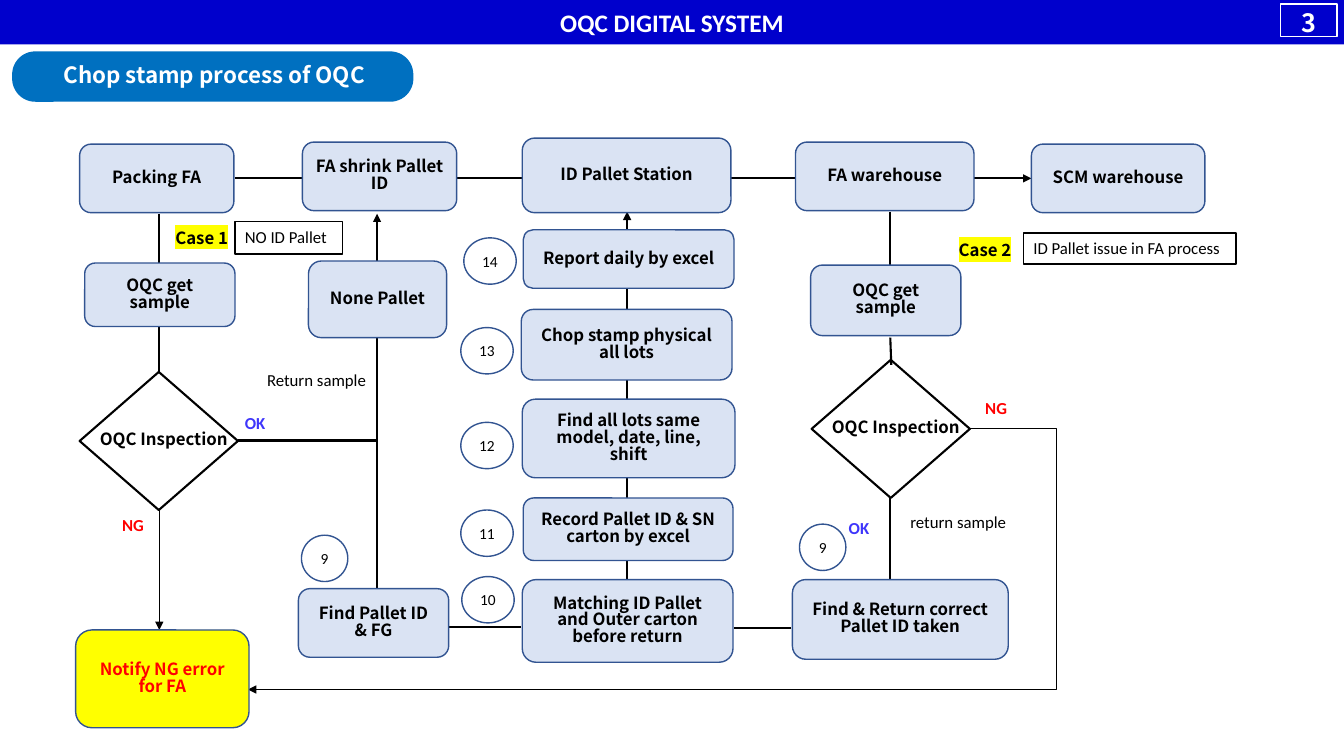
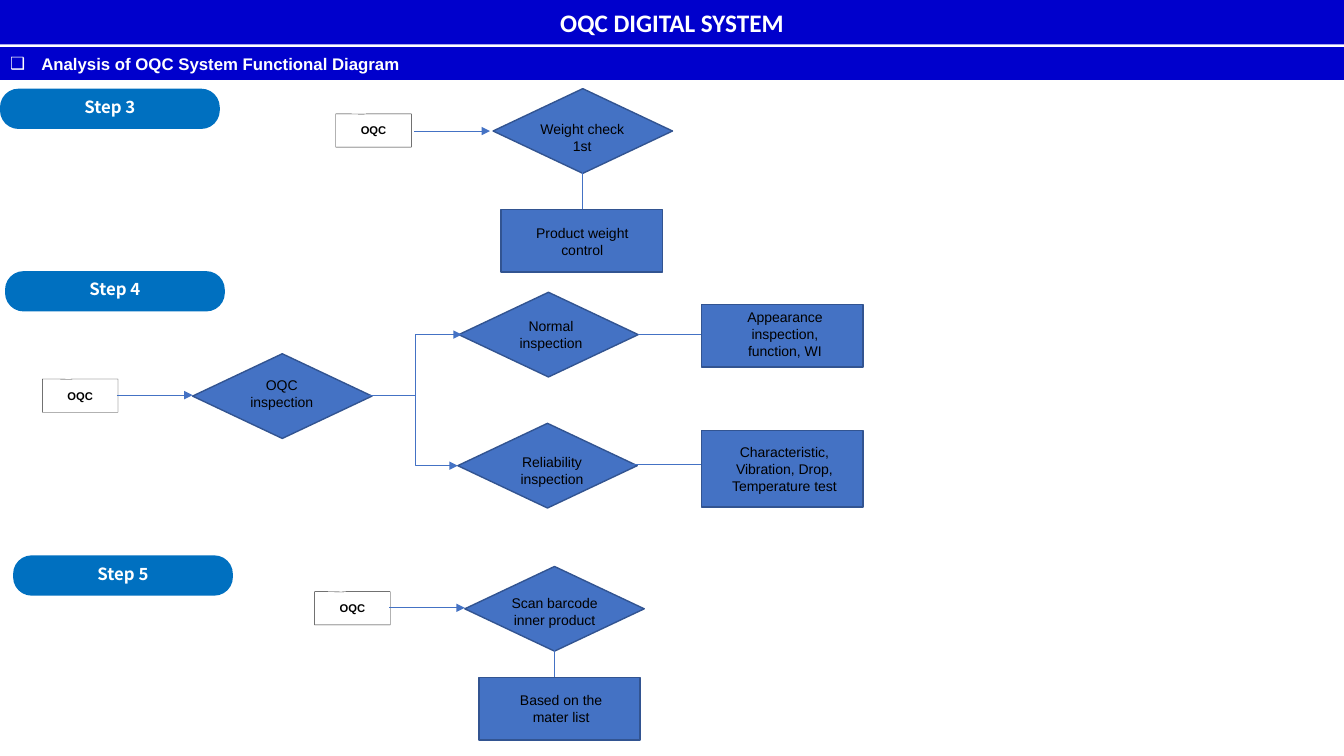
import pptx
import pptx.util
import pptx.dml.color
import pptx.enum.shapes
import pptx.enum.text
import pptx.oxml
import pptx.oxml.ns

Inches, Pt = pptx.util.Inches, pptx.util.Pt
RGB = pptx.dml.color.RGBColor
SHAPE = pptx.enum.shapes.MSO_SHAPE
LINK = pptx.enum.shapes.MSO_CONNECTOR
ANCHOR = pptx.enum.text.MSO_ANCHOR
ALIGN = pptx.enum.text.PP_ALIGN
qn = pptx.oxml.ns.qn

# Colours
NAVY = RGB(0x00, 0x00, 0xCC)
AZURE = RGB(0x00, 0x70, 0xC0)
BLUE = RGB(0x44, 0x72, 0xC4)
EDGE = RGB(0x32, 0x54, 0x91)
PALE = RGB(0xDA, 0xE3, 0xF3)
VIOLET = RGB(0x3E, 0x35, 0xFB)
YELLOW = RGB(0xFF, 0xFF, 0x00)
RED = RGB(0xFF, 0x00, 0x00)
DARK = RGB(0x26, 0x26, 0x26)
BLACK = RGB(0x00, 0x00, 0x00)
WHITE = RGB(0xFF, 0xFF, 0xFF)

# Text styles: size, font, colour, bold
NOTO = "Noto Sans CJK JP"
HEAD = (18, "Calibri", WHITE, True)
PAGE = (18, NOTO, WHITE, True)
TOPIC = (12, "Arial", WHITE, True)
STEP = (12, NOTO, BLACK, True)
ALERT = (12, NOTO, RED, True)
NOTE = (12, "Calibri", BLACK, False)
GOOD = (12, "Calibri", VIOLET, True)
BAD = (12, "Calibri", RED, True)
COUNT = (11, "Calibri", BLACK, False)
SMALL = (10, "Arial", BLACK, False)
TAG = (8, "Arial", BLACK, True)


def markup(xml):
    """Build a drawing element from text with the a: prefix."""
    space = pptx.oxml.ns.nsdecls("a")
    return pptx.oxml.parse_xml(xml.replace(" ", f" {space} ", 1))


class Deck:
    def __init__(self):
        self.show = pptx.Presentation()
        self.show.slide_width = Inches(13.33)
        self.show.slide_height = Inches(7.5)

    def start(self, layout):
        """Begin a slide with the shared title band."""
        self.slide = self.show.slides.add_slide(self.show.slide_layouts[layout])
        self.band(self.slide.shapes.title, (0, 0, 13.33, 0.44))
        self.label(self.slide.shapes.title, "OQC DIGITAL SYSTEM", HEAD)

    def band(self, holder, at):
        holder.left, holder.top, holder.width, holder.height = map(Inches, at)
        self.paint(holder, NAVY, None)
        holder.text_frame.auto_size = pptx.enum.text.MSO_AUTO_SIZE.NONE

    def topic(self, text):
        """Bulleted band below the title."""
        holder = self.slide.placeholders[1]
        self.band(holder, (0, 0.47, 13.33, 0.32))
        self.paint(holder, NAVY, NAVY)
        self.label(holder, text, TOPIC, ALIGN.LEFT)
        props = holder.text_frame.paragraphs[0]._p.get_or_add_pPr()
        props.set("marL", str(Inches(0.31)))
        props.set("indent", str(-Inches(0.31)))
        props.append(markup('<a:buChar char="❑"/>'))

    def paint(self, shape, fill, line, width=1):
        if fill is None:
            shape.fill.background()
        else:
            shape.fill.solid()
            shape.fill.fore_color.rgb = fill
        if line is None:
            shape.line.fill.background()
        else:
            shape.line.color.rgb = line
            shape.line.width = Pt(width)

    def label(self, shape, text, style, align=ALIGN.CENTER,
              anchor=ANCHOR.MIDDLE, effect=None, pitch=1.0):
        size, font, color, bold = style
        frame = shape.text_frame
        frame.word_wrap = True
        frame.vertical_anchor = anchor
        frame.margin_left = frame.margin_right = Inches(0.1)
        frame.margin_top = frame.margin_bottom = Inches(0.05)
        for i, words in enumerate(text.split("\n")):
            para = frame.add_paragraph() if i else frame.paragraphs[0]
            para.alignment = align
            para.space_before = Pt(0)
            para.line_spacing = pitch
            run = para.add_run()
            run.text = words
            run.font.size = Pt(size)
            run.font.name = font
            run.font.bold = bold
            run.font.color.rgb = color
            if effect:
                run._r.rPr.find(qn("a:solidFill")).addnext(markup(effect))

    def shape(self, kind, at, fill=None, line=None, width=1):
        shape = self.slide.shapes.add_shape(kind, *map(Inches, at))
        shape.shadow.inherit = False
        self.paint(shape, fill, line, width)
        return shape

    def text(self, at, words, style, **more):
        box = self.slide.shapes.add_textbox(*map(Inches, at))
        self.label(box, words, style, **more)

    def step(self, at, words, fill=PALE, style=STEP):
        box = self.shape(SHAPE.ROUNDED_RECTANGLE, at, fill, EDGE)
        self.label(box, words, style, pitch=0.84)

    def pill(self, at, words, size, inner):
        """Rounded section heading with shadowed text."""
        self.shape(SHAPE.ROUNDED_RECTANGLE, at, AZURE).adjustments[0] = 0.46
        self.text(inner, words, (size, NOTO, WHITE, True), effect=(
            '<a:effectLst ><a:outerShdw blurRad="38100" dist="38100" '
            'dir="2700000" algn="tl"><a:srgbClr val="000000">'
            '<a:alpha val="43000"/></a:srgbClr></a:outerShdw></a:effectLst>'))

    def case(self, at, words):
        self.text(at, words, STEP, effect=(
            f'<a:highlight ><a:srgbClr val="{YELLOW}"/></a:highlight>'))

    def remark(self, at, words):
        box = self.shape(SHAPE.RECTANGLE, at, None, BLACK)
        self.label(box, words, NOTE, ALIGN.LEFT, ANCHOR.TOP)

    def count(self, x, y, number, wide=0.52):
        dot = self.shape(SHAPE.OVAL, (x, y, wide, 0.46), None, EDGE)
        self.label(dot, str(number), COUNT)

    def choice(self, x, y):
        """Outlined inspection diamond with its label."""
        self.shape(SHAPE.DIAMOND, (x, y, 1.57, 1.37), None, BLACK, 1.5)
        self.text((x, y + 0.35, 1.67, 0.63), "OQC Inspection", STEP)

    def source(self, x, y):
        box = self.shape(SHAPE.RECTANGULAR_CALLOUT, (x, y, 0.75, 0.33),
                         WHITE, DARK, 0.25)
        box.adjustments[0], box.adjustments[1] = -0.14, -0.49
        self.label(box, "OQC", TAG)

    def node(self, kind, at, words, inner):
        """Filled shape with its label laid on top."""
        self.shape(kind, at, BLUE, EDGE)
        self.text(inner, words, SMALL)

    def link(self, x1, y1, x2, y2, color=BLACK, width=1.5, arrow=False,
             bent=False, bend=None):
        kind = LINK.ELBOW if bent else LINK.STRAIGHT
        line = self.slide.shapes.add_connector(
            kind, *map(Inches, (x1, y1, x2, y2)))
        line.line.color.rgb = color
        line.line.width = Pt(width)
        props = line._element.spPr
        if arrow:
            props.find(qn("a:ln")).append(
                markup('<a:tailEnd type="triangle"/>'))
        props.append(markup("<a:effectLst />"))
        if bend is not None:
            guides = props.find(qn("a:prstGeom")).get_or_add_avLst()
            guides.append(markup(
                f'<a:gd name="adj1" fmla="val {round(bend * 100000)}"/>'))


def stamp(deck):
    """Chop stamp flow with both cases."""
    deck.start(5)
    page = deck.shape(SHAPE.RECTANGLE, (12.7, 0.04, 0.56, 0.32), None, WHITE)
    deck.label(page, "3", PAGE)
    page.text_frame.margin_bottom = 0
    deck.pill((0.12, 0.51, 3.98, 0.5), "Chop stamp process of OQC", 16,
              (0.36, 0.45, 3.53, 0.57))

    # Lines and arrows, below the boxes
    for ends in ((8.83, 2.1, 8.83, 2.64), (8.83, 3.35, 8.84, 3.62),
                 (8.83, 4.93, 8.83, 5.75), (1.58, 2.12, 1.58, 2.61),
                 (1.58, 3.24, 1.58, 3.69), (2.36, 4.37, 3.75, 4.37),
                 (3.74, 5.84, 3.74, 4.37), (7.85, 6.23, 7.28, 6.23),
                 (5.17, 6.22, 4.42, 6.22)):
        deck.link(*ends)
    for ends in ((2.33, 1.77, 10.23, 1.77), (3.74, 4.37, 3.74, 2.12),
                 (6.22, 5.75, 6.22, 2.1)):
        deck.link(*ends, arrow=True)
    deck.link(1.58, 5.04, 1.58, 6.25, width=0.5, arrow=True)
    deck.link(9.62, 4.25, 2.46, 6.84, width=0.5, arrow=True, bent=True,
              bend=-0.12)

    # Process boxes
    for at, words in (
            ((0.79, 1.43, 1.53, 0.68), "Packing FA"),
            ((3, 1.41, 1.53, 0.68), "FA shrink Pallet ID"),
            ((5.18, 1.37, 2.07, 0.74), "ID Pallet Station"),
            ((7.89, 1.41, 1.77, 0.68), "FA warehouse"),
            ((10.23, 1.43, 1.72, 0.68), "SCM warehouse"),
            ((0.84, 2.61, 1.49, 0.63), "OQC get sample"),
            ((8.04, 2.63, 1.49, 0.7), "OQC get sample"),
            ((3.06, 2.59, 1.37, 0.76), "None Pallet"),
            ((2.96, 5.84, 1.49, 0.68), "Find Pallet ID & FG"),
            ((5.19, 2.28, 2.09, 0.58), "Report daily by excel"),
            ((5.17, 3.07, 2.09, 0.7), "Chop stamp physical all lots"),
            ((5.18, 3.96, 2.11, 0.78),
             "Find all lots same model, date, line, shift"),
            ((5.19, 4.94, 2.08, 0.62), "Record Pallet ID & SN carton by excel"),
            ((5.18, 5.75, 2.09, 0.82),
             "Matching ID Pallet and Outer carton before return"),
            ((7.86, 5.75, 2.14, 0.79), "Find & Return correct Pallet ID taken")):
        deck.step(at, words)
    deck.step((0.75, 6.25, 1.72, 0.97), "Notify NG error for FA", YELLOW, ALERT)
    deck.choice(0.79, 3.69)
    deck.choice(8.05, 3.57)

    # Step numbers
    for x, y, number in ((4.58, 5.72, 10), (4.57, 5.06, 11), (4.57, 4.19, 12),
                         (4.57, 3.25, 13), (4.6, 2.36, 14)):
        deck.count(x, y, number)
    for x, y in ((2.99, 5.31), (7.93, 5.2)):
        deck.count(x, y, 9, 0.46)

    # Cases and results
    deck.case((1.39, 2.21, 1.22, 0.29), "Case 1")
    deck.remark((2.33, 2.2, 1.07, 0.32), "NO ID Pallet")
    deck.case((9.16, 2.22, 1.22, 0.52), "Case 2")
    deck.remark((10.15, 2.31, 2.11, 0.31), "ID Pallet issue in FA process")
    for x, y, words, style in ((2.11, 4.05, "OK", GOOD), (8.1, 5.09, "OK", GOOD),
                               (0.9, 5.06, "NG", BAD), (9.46, 3.9, "NG", BAD)):
        deck.text((x, y, 0.84, 0.35), words, style, anchor=ANCHOR.TOP)
    for x, y, words in ((2.55, 3.62, "Return sample"),
                        (8.93, 5.03, "return sample")):
        deck.text((x, y, 1.39, 0.4), words, NOTE, align=ALIGN.LEFT,
                  anchor=ANCHOR.TOP)


def steps(deck):
    """Functional diagram, steps 3 to 5."""
    deck.start(1)
    deck.topic("Analysis of OQC System Functional Diagram")
    for x, y, number in ((0, 0.88, 3), (0.05, 2.69, 4), (0.13, 5.51, 5)):
        deck.pill((x, y, 2.18, 0.4), f"Step {number}", 12,
                  (x + 0.12, y - 0.02, 1.94, 0.4))
    for x, y in ((3.33, 1.13), (0.42, 3.76), (3.12, 5.87)):
        deck.source(x, y)

    # Decisions
    for x, y, words, inner in (
            (4.89, 0.88, "Weight check 1st", (5.16, 1.13, 1.23, 0.47)),
            (1.91, 3.51, "OQC\ninspection", (2.18, 3.67, 1.23, 0.47)),
            (4.55, 2.9, "Normal inspection", (4.85, 3.08, 1.23, 0.47)),
            (4.54, 4.2, "Reliability inspection", (4.86, 4.43, 1.23, 0.47)),
            (4.61, 5.62, "Scan barcode inner product",
             (4.81, 5.83, 1.38, 0.47))):
        deck.node(SHAPE.FLOWCHART_DECISION, (x, y, 1.78, 0.84), words, inner)

    # Lines and arrows
    for ends in ((5.78, 1.65, 5.78, 2.09), (6.33, 3.32, 6.96, 3.32),
                 (6.21, 4.61, 6.96, 4.61), (5.5, 6.45, 5.5, 6.82)):
        deck.link(*ends, BLUE, 0.5)
    for x, y in ((4.11, 1.3), (1.16, 3.92), (3.86, 6.03)):
        deck.link(x, y, x + 0.75, y, BLUE, 0.5, arrow=True)
    for ends in ((3.66, 3.92, 4.58, 3.32), (3.69, 3.92, 4.54, 4.62)):
        deck.link(*ends, BLUE, 0.5, arrow=True, bent=True)

    # Checks
    for x, y, high, words, inner in (
            (4.97, 2.08, 0.62, "Product weight control",
             (5.16, 2.16, 1.23, 0.47)),
            (6.96, 3.02, 0.62, "Appearance inspection, function, WI",
             (7.15, 3.08, 1.27, 0.47)),
            (6.96, 4.27, 0.76, "Characteristic, Vibration, Drop, "
             "Temperature test", (7.08, 4.3, 1.4, 0.7)),
            (4.75, 6.72, 0.62, "Based on the mater list",
             (4.95, 6.79, 1.23, 0.47))):
        deck.node(SHAPE.RECTANGLE, (x, y, 1.6, high), words, inner)


def main():
    deck = Deck()
    stamp(deck)
    steps(deck)
    deck.show.save("out.pptx")


if __name__ == "__main__":
    main()
